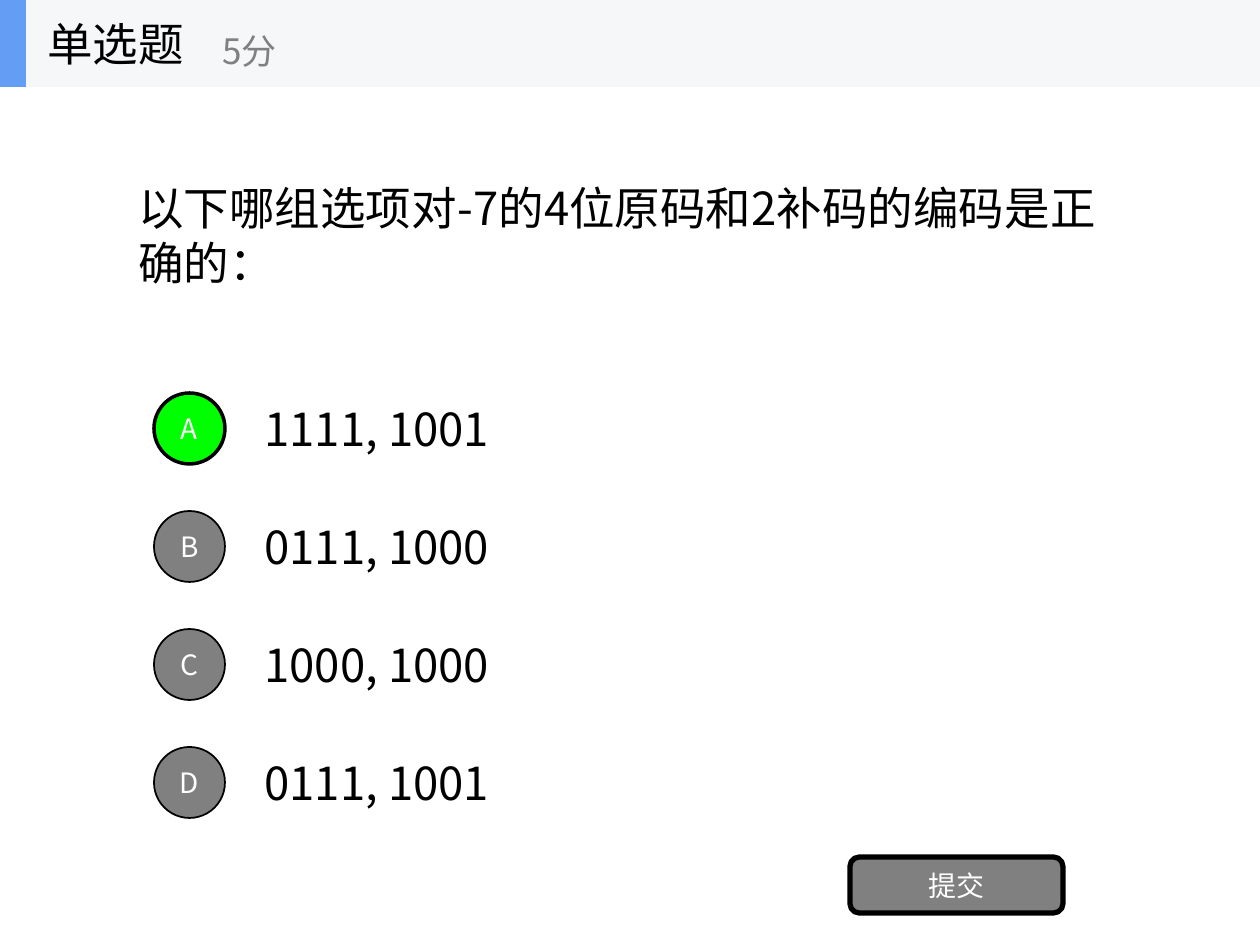
import pptx
import pptx.util
import pptx.dml.color
import pptx.enum.shapes
import pptx.enum.text
import pptx.oxml
import pptx.oxml.ns

SCALE = 914400 // 126
FONT = "Noto Sans CJK SC"
COLORS = {
    "ink": "000000",
    "paper": "FFFFFF",
    "muted": "808080",
    "selected": "00FF00",
    "header": "F6F7F8",
    "accent": "639EF4",
}
SHAPES = pptx.enum.shapes.MSO_SHAPE
ALIGN = pptx.enum.text.PP_ALIGN
OPTIONS = [
    ("A", "1111, 1001"),
    ("B", "0111, 1000"),
    ("C", "1000, 1000"),
    ("D", "0111, 1001"),
]


def px(*lengths):
    return [pptx.util.Emu(length * SCALE) for length in lengths]


def rgb(name):
    return pptx.dml.color.RGBColor.from_string(COLORS[name])


def write_text(shape, text, size, color, align):
    frame = shape.text_frame
    frame.text = text
    frame.word_wrap = True
    frame.vertical_anchor = pptx.enum.text.MSO_ANCHOR.MIDDLE
    paragraph = frame.paragraphs[0]
    paragraph.alignment = align
    for run in paragraph.runs:
        run.font.size = pptx.util.Pt(size)
        run.font.name = FONT
        run.font.color.rgb = rgb(color)
        east_asian = pptx.oxml.parse_xml(
            f'<a:ea {pptx.oxml.ns.nsdecls("a")} typeface="{FONT}"/>'
        )
        run.font._element.append(east_asian)


def add_label(shapes, box, text, size=26, color="ink"):
    label = shapes.add_textbox(*px(*box))
    write_text(label, text, size, color, ALIGN.LEFT)


def add_block(shapes, kind, box, fill, line_width=0):
    block = shapes.add_shape(kind, *px(*box))
    block.shadow.inherit = False
    block.fill.solid()
    block.fill.fore_color.rgb = rgb(fill)
    if line_width:
        block.line.color.rgb = rgb("ink")
        block.line.width = pptx.util.Pt(line_width)
    else:
        block.line.fill.background()
    return block


def add_button(shapes, kind, box, text, fill, line_width):
    button = add_block(shapes, kind, box, fill, line_width)
    write_text(button, text, 16, "paper", ALIGN.CENTER)


def add_options(shapes):
    top, pitch = 384, 118
    for row, (letter, answer) in enumerate(OPTIONS):
        y = top + row * pitch
        add_label(shapes, (252, y, 882, 88), answer)
        correct = row == 0
        add_button(
            shapes, SHAPES.OVAL, (154, y + 9, 71, 71), letter,
            "selected" if correct else "muted", 2 if correct else 1,
        )


def add_header(shapes):
    header = shapes.add_group_shape().shapes
    add_block(header, SHAPES.RECTANGLE, (0, 0, 1260, 87), "header")
    add_block(header, SHAPES.RECTANGLE, (0, 0, 26, 87), "accent")
    add_label(header, (35, 0, 262, 87), "单选题")
    add_label(header, (210, 15, 315, 71), "5分", 20, "muted")


def main():
    deck = pptx.Presentation()
    deck.slide_width = pptx.util.Inches(10)
    deck.slide_height = pptx.util.Inches(7.5)
    slide = deck.slides.add_slide(deck.slide_layouts[6])
    shapes = slide.shapes
    add_label(
        shapes, (126, 87, 1008, 295),
        "以下哪组选项对-7的4位原码和2补码的编码是正确的：",
    )
    add_options(shapes)
    add_button(
        shapes, SHAPES.ROUNDED_RECTANGLE, (850, 857, 213, 56),
        "提交", "muted", 3,
    )
    add_header(shapes)
    deck.save("out.pptx")


if __name__ == "__main__":
    main()
